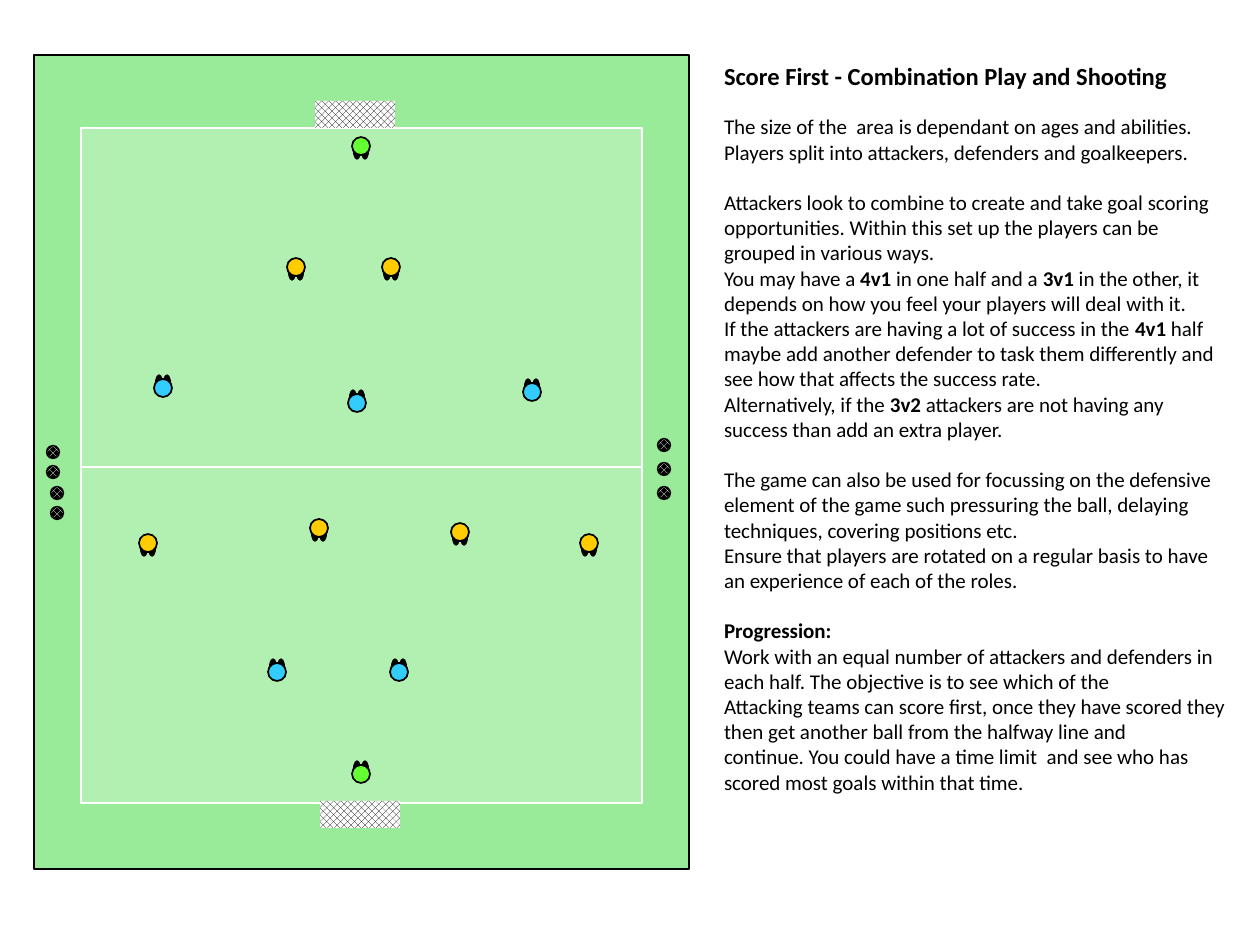
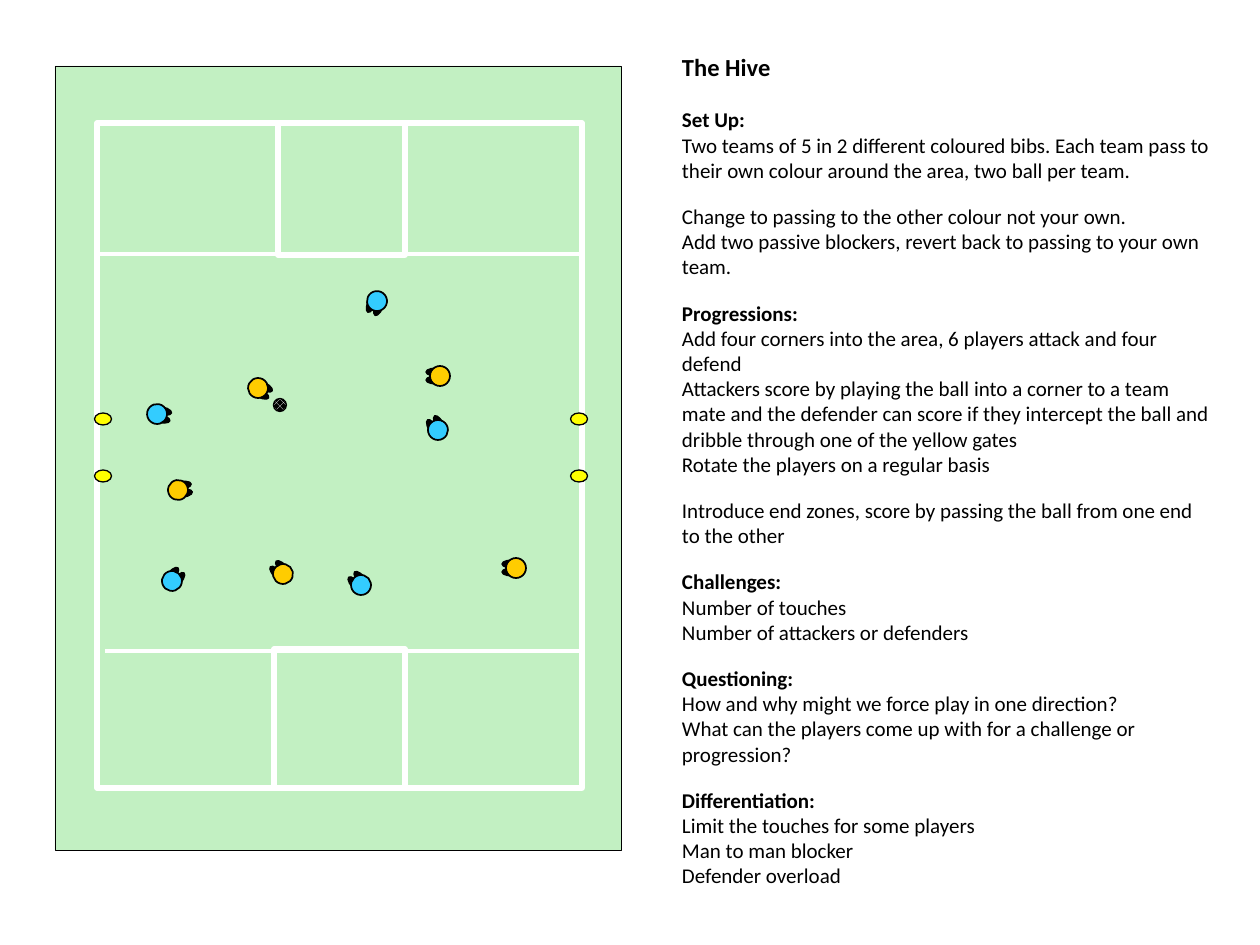
"""Build two football practice slides, each a pitch diagram beside its coaching notes."""
import math
from dataclasses import dataclass

import lxml.etree
import pptx
import pptx.dml.color
import pptx.enum.dml
import pptx.enum.shapes
import pptx.enum.text
import pptx.oxml.ns
import pptx.util

SCALE = 914400 / 126
FONT = "Calibri"
INK = {
    "black": "000000", "white": "FFFFFF", "rim": "99EB99", "grass": "B2F0B2",
    "pale": "C2F0C2", "keeper": "66FF33", "blue": "33CCFF", "amber": "FFCC00",
    "cone": "FFFF00",
}
RECT = pptx.enum.shapes.MSO_SHAPE.RECTANGLE
OVAL = pptx.enum.shapes.MSO_SHAPE.OVAL
NET = pptx.enum.dml.MSO_PATTERN.OUTLINED_DIAMOND
BALL = pptx.enum.dml.MSO_PATTERN.SOLID_DIAMOND


@dataclass
class Box:
    x: float
    y: float
    w: float
    h: float


@dataclass
class Look:
    fill: str = ""
    line: str = ""
    width: float = 0.75
    net: object = None
    back: str = ""


@dataclass
class Player:
    x: int
    y: int
    turn: float
    team: str


@dataclass
class Notes:
    title: str
    head: Box
    body: Box
    gap: float
    blocks: list


DOT = Look("black", "black")
BALLS = Look("white", "black", net=BALL, back="black")
GOAL = Look("black", net=NET, back="white")


def px(n: float) -> int:
    return round(n * SCALE)


def tint(name: str) -> pptx.dml.color.RGBColor:
    return pptx.dml.color.RGBColor.from_string(INK[name])


def draw(slide, kind, box: Box, look: Look, turn: float = 0) -> None:
    shape = slide.shapes.add_shape(kind, px(box.x), px(box.y), px(box.w), px(box.h))
    shape.shadow.inherit = False
    shape.rotation = turn
    if look.net:
        shape.fill.patterned()
        shape.fill.pattern = look.net
        shape.fill.fore_color.rgb = tint(look.fill)
        shape.fill.back_color.rgb = tint(look.back)
    elif look.fill:
        shape.fill.solid()
        shape.fill.fore_color.rgb = tint(look.fill)
    else:
        shape.fill.background()
    if look.line:
        shape.line.color.rgb = tint(look.line)
        shape.line.width = pptx.util.Pt(look.width)
    else:
        shape.line.fill.background()


def spot(slide, x: float, y: float, w: float, h: float, look: Look, turn: float = 0) -> None:
    draw(slide, OVAL, Box(x - w / 2, y - h / 2, w, h), look, turn)


def mark(slide, left: int, right: int, y: float, width: float) -> None:
    line = slide.shapes.add_connector(
        pptx.enum.shapes.MSO_CONNECTOR.STRAIGHT, px(left), px(y), px(right), px(y))
    line.line.color.rgb = tint("white")
    line.line.width = pptx.util.Pt(width)
    lxml.etree.SubElement(line._element.spPr, pptx.oxml.ns.qn("a:effectLst"))


def place(slide, man: Player, size: int) -> None:
    rad = math.radians(man.turn)
    cos, sin = math.cos(rad), math.sin(rad)
    for side in (-4, 4):
        spot(slide, man.x + side * cos + 4 * sin, man.y + side * sin - 4 * cos,
             round(size * 0.4), size, DOT, man.turn)
    spot(slide, man.x, man.y, size, size, Look(man.team, "black", 1), man.turn)


def frame(holder, box: Box):
    holder.left, holder.top = px(box.x), px(box.y)
    holder.width, holder.height = px(box.w), px(box.h)
    text = holder.text_frame
    text.word_wrap = True
    text.auto_size = pptx.enum.text.MSO_AUTO_SIZE.NONE
    text.vertical_anchor = pptx.enum.text.MSO_ANCHOR.TOP
    text.margin_left = text.margin_right = text.margin_top = text.margin_bottom = 0
    return text


def fill(para, words: str, size: int, gap: float = 0) -> None:
    para.alignment = pptx.enum.text.PP_ALIGN.LEFT
    para.space_before = pptx.util.Pt(gap)
    props = para._p.get_or_add_pPr()
    props.set("marL", "0")
    props.set("indent", "0")
    lxml.etree.SubElement(props, pptx.oxml.ns.qn("a:buNone"))
    for i, part in enumerate(words.split("*")):
        if part:
            run = para.add_run()
            run.text = part
            run.font.name = FONT
            run.font.size = pptx.util.Pt(size)
            run.font.bold = i % 2 == 1
            run.font.color.rgb = tint("black")


def write(slide, notes: Notes) -> None:
    fill(frame(slide.shapes.title, notes.head).paragraphs[0], f"*{notes.title}*", 14)
    text = frame(slide.placeholders[1], notes.body)
    for b, block in enumerate(notes.blocks):
        for i, words in enumerate(block):
            first = b == 0 and i == 0
            para = text.paragraphs[0] if first else text.add_paragraph()
            fill(para, words, 12, notes.gap if b and i == 0 else 0)


SCORE = Notes(
    "Score First - Combination Play and Shooting",
    Box(724, 61, 507, 30), Box(724, 114, 507, 690), 14.4,
    [
        ["The size of the  area is dependant on ages and abilities. Players split into "
         "attackers, defenders and goalkeepers."],
        ["Attackers look to combine to create and take goal scoring opportunities. Within "
         "this set up the players can be grouped in various ways.",
         "You may have a *4v1* in one half and a *3v1* in the other, it depends on how you "
         "feel your players will deal with it.",
         "If the attackers are having a lot of success in the *4v1* half maybe add another "
         "defender to task them differently and see how that affects the success rate.",
         "Alternatively, if the *3v2* attackers are not having any success than add an "
         "extra player."],
        ["The game can also be used for focussing on the defensive element of the game such "
         "pressuring the ball, delaying techniques, covering positions etc.",
         "Ensure that players are rotated on a regular basis to have an experience of each "
         "of the roles."],
        ["*Progression:*",
         "Work with an equal number of attackers and defenders in each half. The objective "
         "is to see which of the",
         "Attacking teams can score first, once they have scored they then get another ball "
         "from the halfway line and",
         "continue. You could have a time limit  and see who has scored most goals within "
         "that time."],
    ])

HIVE = Notes(
    "The Hive", Box(682, 52, 530, 30), Box(682, 107, 530, 790), 12,
    [
        ["*Set Up:*",
         "Two teams of 5 in 2 different coloured bibs. Each team pass to their own colour "
         "around the area, two ball per team."],
        ["Change to passing to the other colour not your own.",
         "Add two passive blockers, revert back to passing to your own team."],
        ["*Progressions:*",
         "Add four corners into the area, 6 players attack and four defend",
         "Attackers score by playing the ball into a corner to a team mate and the defender "
         "can score if they intercept the ball and dribble through one of the yellow gates",
         "Rotate the players on a regular basis"],
        ["Introduce end zones, score by passing the ball from one end to the other"],
        ["*Challenges:*", "Number of touches", "Number of attackers or defenders"],
        ["*Questioning:*", "How and why might we force play in one direction?",
         "What can the players come up with for a challenge or progression?"],
        ["*Differentiation:*", "Limit the touches for some players", "Man to man blocker",
         "Defender overload"],
    ])

UP = {"keeper": [(361, 774)],
      "blue": [(163, 388), (357, 403), (532, 392), (277, 672), (399, 672)]}
DOWN = {"keeper": [(361, 146)],
        "amber": [(296, 267), (391, 267), (319, 528), (148, 543), (589, 543), (460, 532)]}
SQUAD = [Player(x, y, turn, team) for turn, side in ((0, UP), (180, DOWN))
         for team, spots in side.items() for x, y in spots]

SWARM = [
    Player(283, 574, 315.9, "amber"), Player(361, 585, 318.2, "blue"),
    Player(516, 568, 270, "amber"), Player(377, 301, 203.3, "blue"),
    Player(172, 581, 40.4, "blue"), Player(440, 376, 270, "amber"),
    Player(258, 388, 117.4, "amber"), Player(438, 430, 330.7, "blue"),
    Player(157, 414, 101.5, "blue"), Player(178, 490, 81.6, "amber"),
]


def score(slide) -> None:
    write(slide, SCORE)
    draw(slide, RECT, Box(34, 55, 655, 814), Look("rim", "black"))
    draw(slide, RECT, Box(81, 128, 561, 675), Look("grass", "white", 1.5))
    for x, y in ((315, 101), (320, 801)):
        draw(slide, RECT, Box(x, y, 80, 27), GOAL)
    mark(slide, 82, 641, 467, 1.5)
    for man in SQUAD:
        place(slide, man, 18)
    left = [(53, 452), (53, 472), (57, 493), (57, 513)]
    right = [(664, 445 + 24 * i) for i in range(3)]
    for x, y in left + right:
        spot(slide, x, y, 13, 13, BALLS, 180)


def hive(slide) -> None:
    write(slide, HIVE)
    draw(slide, RECT, Box(55, 66, 566, 784), Look("pale", "black", 0.25))
    for box in (Box(97, 123, 485, 665), Box(274, 649, 131, 139), Box(278, 123, 127, 132)):
        draw(slide, RECT, box, Look("", "white", 3))
    mark(slide, 95, 581, 254, 2.25)
    mark(slide, 105, 581, 651, 2.25)
    for man in SWARM:
        place(slide, man, 20)
    spot(slide, 280, 405, 13, 13, BALLS, 270)
    for x in (103, 579):
        for y in (419, 476):
            spot(slide, x, y, 17, 12, Look("cone", "black"))


def main() -> None:
    deck = pptx.Presentation()
    deck.slide_width, deck.slide_height = px(1260), px(945)
    for build in (score, hive):
        build(deck.slides.add_slide(deck.slide_layouts[1]))
    deck.save("out.pptx")


main()
